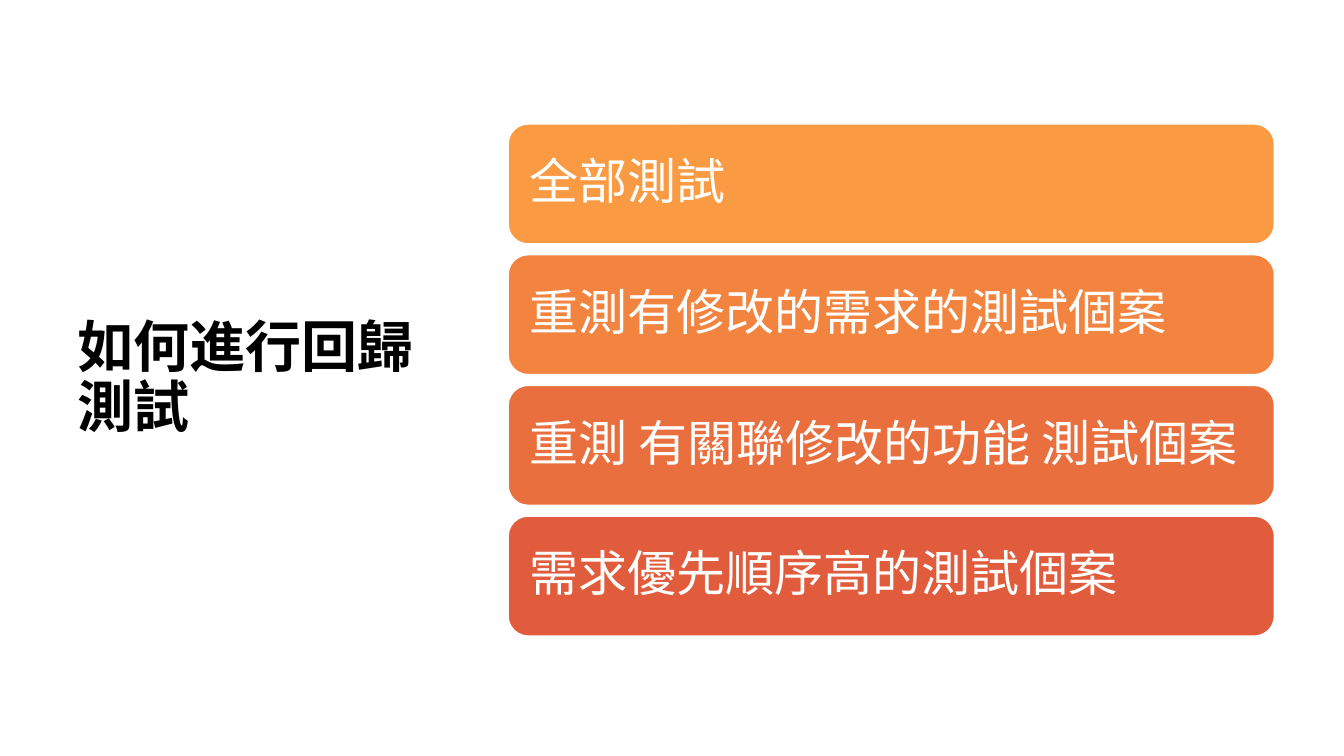
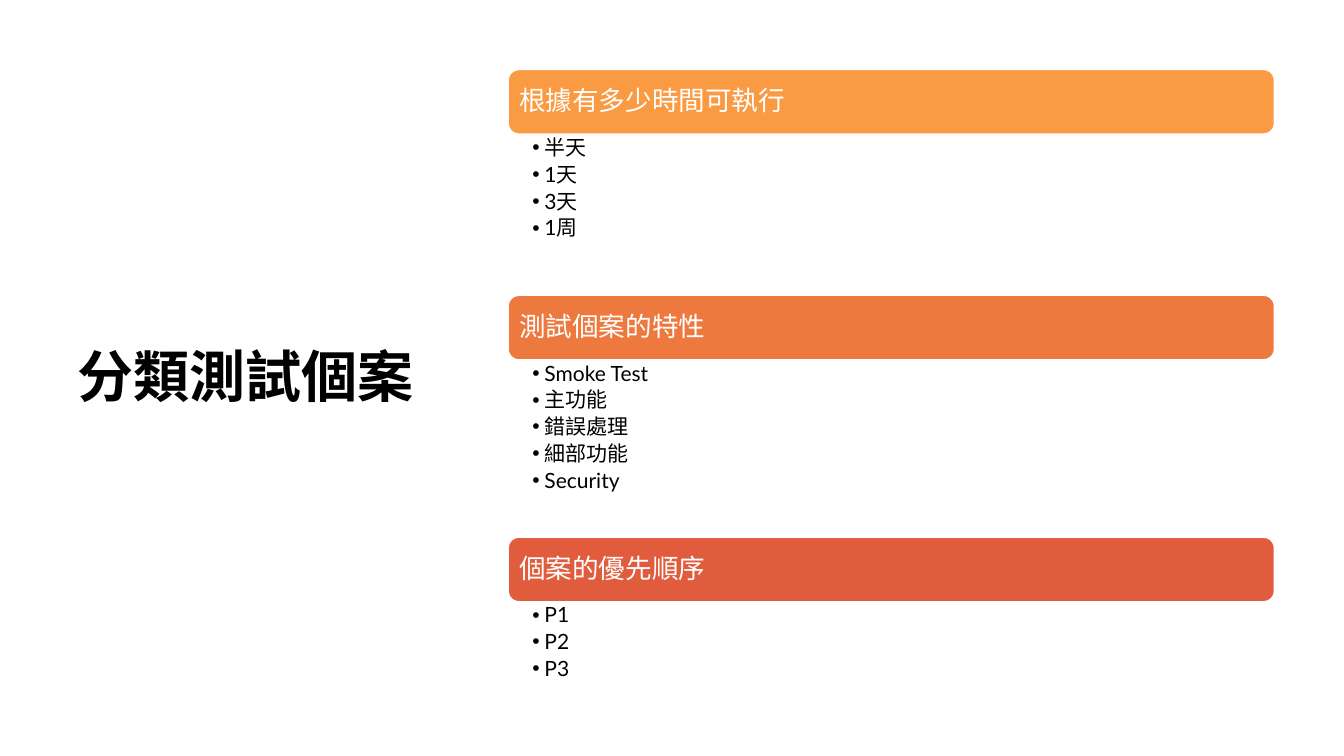
from dataclasses import dataclass

from lxml.etree import SubElement
from pptx import Presentation
from pptx.dml.color import RGBColor
from pptx.enum.shapes import MSO_SHAPE as Preset
from pptx.enum.text import MSO_ANCHOR as Anchor, MSO_AUTO_SIZE as AutoSize, PP_ALIGN as Align
from pptx.oxml.ns import qn
from pptx.slide import Slide
from pptx.text.text import TextFrame
from pptx.util import Inches, Pt

FONT = "Lato"
BLACK, WHITE = "000000", "FFFFFF"
AMBER, ORANGE, TANGERINE, RUST, RED = "FA9A42", "F28440", "EE793F", "EA6F3E", "E15C3D"
COLUMN_LEFT, COLUMN_WIDTH = 5.04, 7.6
TITLE_ONLY, COMPARISON = 5, 4


@dataclass(frozen=True)
class BandStyle:
    height: float
    inset: float
    size: int


@dataclass(frozen=True)
class Category:
    heading: str
    color: str
    items: tuple[str, ...]
    list_height: float


LARGE_BAND = BandStyle(height=1.19, inset=0.15, size=35)
SMALL_BAND = BandStyle(height=0.64, inset=0.08, size=19)

APPROACHES = (
    ("全部測試", AMBER),
    ("重測有修改的需求的測試個案", ORANGE),
    ("重測 有關聯修改的功能 測試個案", RUST),
    ("需求優先順序高的測試個案", RED),
)
CATEGORIES = (
    Category("根據有多少時間可執行", AMBER, ("半天", "1天", "3天", "1周"), 1.6),
    Category("測試個案的特性", TANGERINE,
             ("Smoke Test", "主功能", "錯誤處理", "細部功能", "Security"), 1.76),
    Category("個案的優先順序", RED, ("P1", "P2", "P3"), 0.86),
)


def rgb(color: str) -> RGBColor:
    """Turn a hex string into a colour."""
    return RGBColor.from_string(color)


def place(shape, left: float, top: float, width: float, height: float) -> None:
    """Move and size a shape, in inches."""
    shape.left, shape.top = Inches(left), Inches(top)
    shape.width, shape.height = Inches(width), Inches(height)


def set_frame(frame: TextFrame, anchor: Anchor, insets: tuple[float, float, float, float]) -> None:
    """Set wrapping, anchor and the left, top, right and bottom insets."""
    frame.word_wrap = True
    frame.auto_size = AutoSize.NONE
    frame.vertical_anchor = anchor
    left, top, right, bottom = insets
    frame.margin_left, frame.margin_top = Inches(left), Inches(top)
    frame.margin_right, frame.margin_bottom = Inches(right), Inches(bottom)


def write(paragraph, text: str, size: int, color: str, bold: bool = False, after: float = 0) -> None:
    """Write one left-aligned run, with the space after as a share of its size."""
    paragraph.alignment = Align.LEFT
    paragraph.line_spacing = 0.9
    paragraph.space_before = Pt(0)
    paragraph.space_after = Pt(round(size * after))
    run = paragraph.add_run()
    run.text = text
    run.font.name, run.font.size, run.font.bold = FONT, Pt(size), bold
    run.font.color.rgb = rgb(color)


def add_titled_slide(deck: Presentation, layout: int, title: str) -> Slide:
    """Add a slide with its bold title on the left."""
    slide = deck.slides.add_slide(deck.slide_layouts[layout])
    heading = slide.shapes.title
    place(heading, 0.67, 0.6, 3.82, 6.33)
    set_frame(heading.text_frame, Anchor.MIDDLE, (0.1, 0.05, 0.1, 0.05))
    write(heading.text_frame.paragraphs[0], title, 40, BLACK, bold=True)
    return slide


def add_band(slide: Slide, text: str, color: str, top: float, style: BandStyle) -> None:
    """Add a rounded, filled band with white text."""
    band = slide.shapes.add_shape(Preset.ROUNDED_RECTANGLE, 0, 0, 0, 0)
    place(band, COLUMN_LEFT, top, COLUMN_WIDTH, style.height)
    band.shadow.inherit = False
    band.fill.solid()
    band.fill.fore_color.rgb = rgb(color)
    band.line.color.rgb = rgb(WHITE)
    band.line.width = Pt(1)
    set_frame(band.text_frame, Anchor.MIDDLE, (style.inset,) * 4)
    write(band.text_frame.paragraphs[0], text, style.size, WHITE, after=0.35)


def fill_list(body, items: tuple[str, ...], top: float, height: float) -> None:
    """Fill a body placeholder with a bulleted list."""
    place(body, COLUMN_LEFT, top, COLUMN_WIDTH, height)
    frame = body.text_frame
    set_frame(frame, Anchor.TOP, (0.24, 0.03, 0.15, 0.03))
    for index, item in enumerate(items):
        paragraph = frame.add_paragraph() if index else frame.paragraphs[0]
        paragraph.level = 1
        properties = paragraph._p.get_or_add_pPr()
        properties.set("marL", str(Inches(0.12)))
        properties.set("indent", str(Inches(-0.12)))
        SubElement(properties, qn("a:buFont")).set("typeface", "Arial")
        SubElement(properties, qn("a:buChar")).set("char", "•")
        write(paragraph, item, 15, BLACK, after=0.2)


def build_approaches(deck: Presentation) -> None:
    """Build the slide on how to run regression tests."""
    slide = add_titled_slide(deck, TITLE_ONLY, "如何進行回歸測試")
    first_top, last_top = 1.23, 5.12
    pitch = (last_top - first_top) / (len(APPROACHES) - 1)
    for index, (approach, color) in enumerate(APPROACHES):
        add_band(slide, approach, color, first_top + index * pitch, LARGE_BAND)


def build_categories(deck: Presentation) -> None:
    """Build the slide on classifying test cases."""
    slide = add_titled_slide(deck, COMPARISON, "分類測試個案")
    bodies = list(slide.placeholders)[1:]
    top = 0.69
    for category, body in zip(CATEGORIES, bodies):
        add_band(slide, category.heading, category.color, top, SMALL_BAND)
        top += SMALL_BAND.height
        fill_list(body, category.items, top, category.list_height)
        top += category.list_height
    for unused in bodies[len(CATEGORIES):]:
        unused.element.getparent().remove(unused.element)


def main() -> None:
    """Build and save the deck."""
    deck = Presentation()
    deck.slide_width, deck.slide_height = Inches(13.33), Inches(7.5)
    build_approaches(deck)
    build_categories(deck)
    deck.save("out.pptx")


if __name__ == "__main__":
    main()
